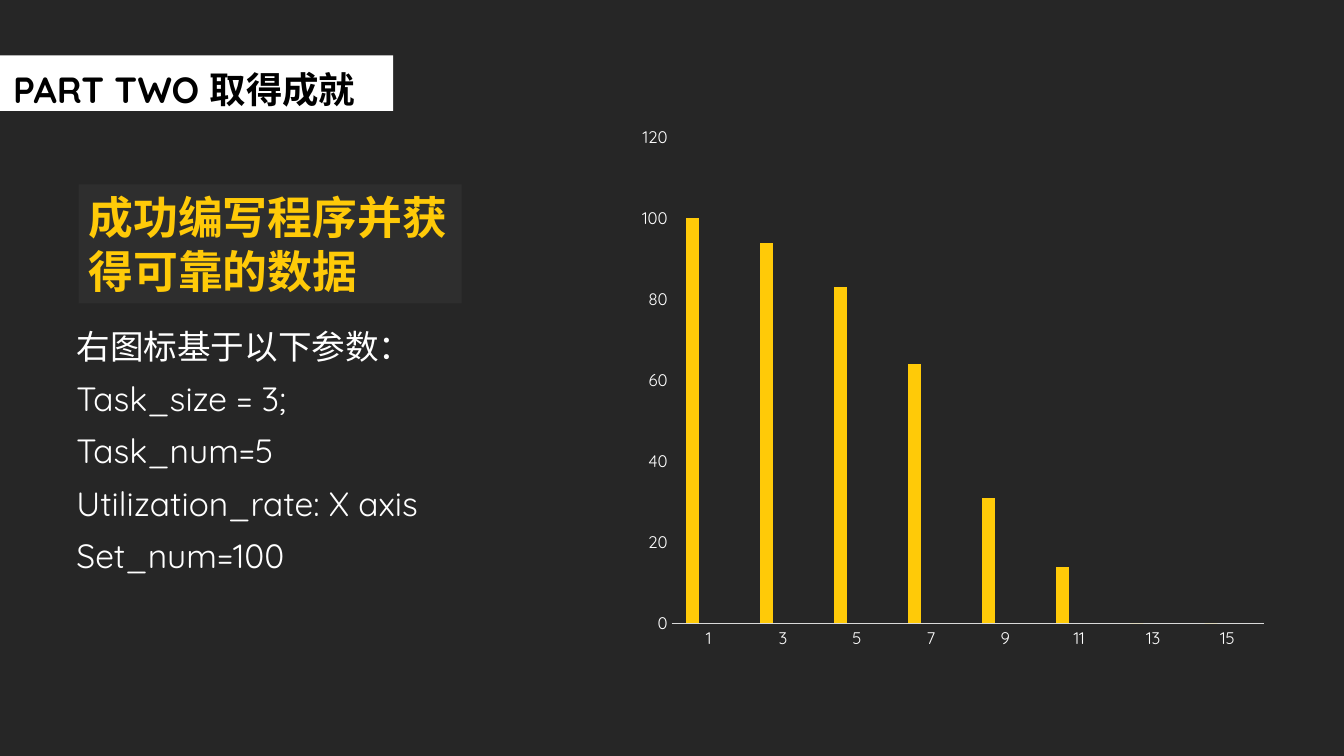
from pptx import Presentation
from pptx.chart.data import CategoryChartData
from pptx.dml.color import RGBColor
from pptx.enum.chart import XL_CHART_TYPE, XL_TICK_MARK
from pptx.enum.shapes import MSO_SHAPE
from pptx.enum.text import MSO_ANCHOR, MSO_AUTO_SIZE, PP_ALIGN
from pptx.util import Inches, Pt

# Content
TITLE = "PART TWO 取得成就"
HEADING = "成功编写程序并获得可靠的数据"
PARAMETERS = [
    "右图标基于以下参数：",
    "Task_size = 3;",
    "Task_num=5",
    "Utilization_rate: X axis",
    "Set_num=100",
]
CATEGORIES = ["1", "3", "5", "7", "9", "11", "13", "15"]
RATES = [100, 94, 83, 64, 31, 14, 0, 0]
EMPTY = [None] * len(CATEGORIES)

# Format
FONT = "Quicksand"
BLACK = RGBColor(0x00, 0x00, 0x00)
WHITE = RGBColor(0xFF, 0xFF, 0xFF)
DARK = RGBColor(0x26, 0x26, 0x26)
PANEL = RGBColor(0x2E, 0x2E, 0x2E)
GREY = RGBColor(0xD9, 0xD9, 0xD9)
YELLOW = RGBColor(0xFF, 0xCA, 0x08)
ORANGE = RGBColor(0xF8, 0x93, 0x1D)
BROWN = RGBColor(0xCE, 0x8D, 0x3E)
SERIES = [
    ("Series 1", RATES, YELLOW),
    ("Series 2", EMPTY, ORANGE),
    ("Series 3", EMPTY, BROWN),
]
COLUMN = XL_CHART_TYPE.COLUMN_CLUSTERED
NO_TICK = XL_TICK_MARK.NONE
RECT = MSO_SHAPE.RECTANGLE
TOP, MIDDLE = MSO_ANCHOR.TOP, MSO_ANCHOR.MIDDLE
LEFT = PP_ALIGN.LEFT
NO_FIT = MSO_AUTO_SIZE.NONE


def box(*lengths):
    return [Inches(n) for n in lengths]


def set_font(font, size, color, bold=False):
    font.name = FONT
    font.size = Pt(size)
    font.bold = bold
    font.color.rgb = color


def write(sp, lines, size, color, bold=False, spacing=1.0, anchor=TOP):
    tf = sp.text_frame
    tf.word_wrap = True
    tf.auto_size = NO_FIT
    tf.vertical_anchor = anchor
    for i, line in enumerate(lines):
        p = tf.paragraphs[0] if i == 0 else tf.add_paragraph()
        p.alignment = LEFT
        p.line_spacing = spacing
        r = p.add_run()
        r.text = line
        set_font(r.font, size, color, bold)


def add_rect(s, place, color):
    sp = s.shapes.add_shape(RECT, *box(*place))
    sp.shadow.inherit = False
    sp.fill.solid()
    sp.fill.fore_color.rgb = color
    sp.line.fill.background()
    return sp


def add_rate_chart(s):
    data = CategoryChartData()
    data.categories = CATEGORIES
    for name, values, _ in SERIES:
        data.add_series(name, values)
    chart = s.shapes.add_chart(COLUMN, *box(6.24, 1.15, 6.43, 5.39), data).chart
    chart.has_title = False
    chart.has_legend = False
    set_font(chart.font, 10, BLACK)

    plot = chart.plots[0]
    plot.vary_by_categories = False
    plot.gap_width = 219
    plot.overlap = -27
    for series, (_, _, color) in zip(plot.series, SERIES):
        series.format.fill.solid()
        series.format.fill.fore_color.rgb = color

    for axis in (chart.category_axis, chart.value_axis):
        axis.has_major_gridlines = False
        axis.major_tick_mark = axis.minor_tick_mark = NO_TICK
        set_font(axis.tick_labels.font, 12, WHITE)
    line = chart.category_axis.format.line
    line.color.rgb = GREY
    line.width = Pt(0.75)
    axis = chart.value_axis
    axis.format.line.fill.background()
    axis.minimum_scale, axis.maximum_scale, axis.major_unit = 0, 120, 20


def main():
    prs = Presentation()
    prs.slide_width, prs.slide_height = box(13.33, 7.5)
    s = prs.slides.add_slide(prs.slide_layouts[5])
    s.background.fill.solid()
    s.background.fill.fore_color.rgb = DARK

    # Title in front of its white band
    add_rect(s, (0, 0.55, 3.9, 0.55), WHITE)
    title = s.shapes.title
    title.left, title.top, title.width, title.height = box(0.03, 0.49, 5.68, 1.18)
    write(title, [TITLE], 26, BLACK, bold=True, spacing=1.3)
    s.shapes._spTree.append(title._element)

    # Chart
    add_rate_chart(s)

    # Heading and parameters
    panel = add_rect(s, (0.78, 1.83, 3.8, 1.18), PANEL)
    write(panel, [HEADING], 32, YELLOW, bold=True, anchor=MIDDLE)
    notes = s.shapes.add_textbox(*box(0.66, 3.06, 4.7, 2.67))
    write(notes, PARAMETERS, 24, WHITE, spacing=1.3)

    prs.save("out.pptx")


if __name__ == "__main__":
    main()
